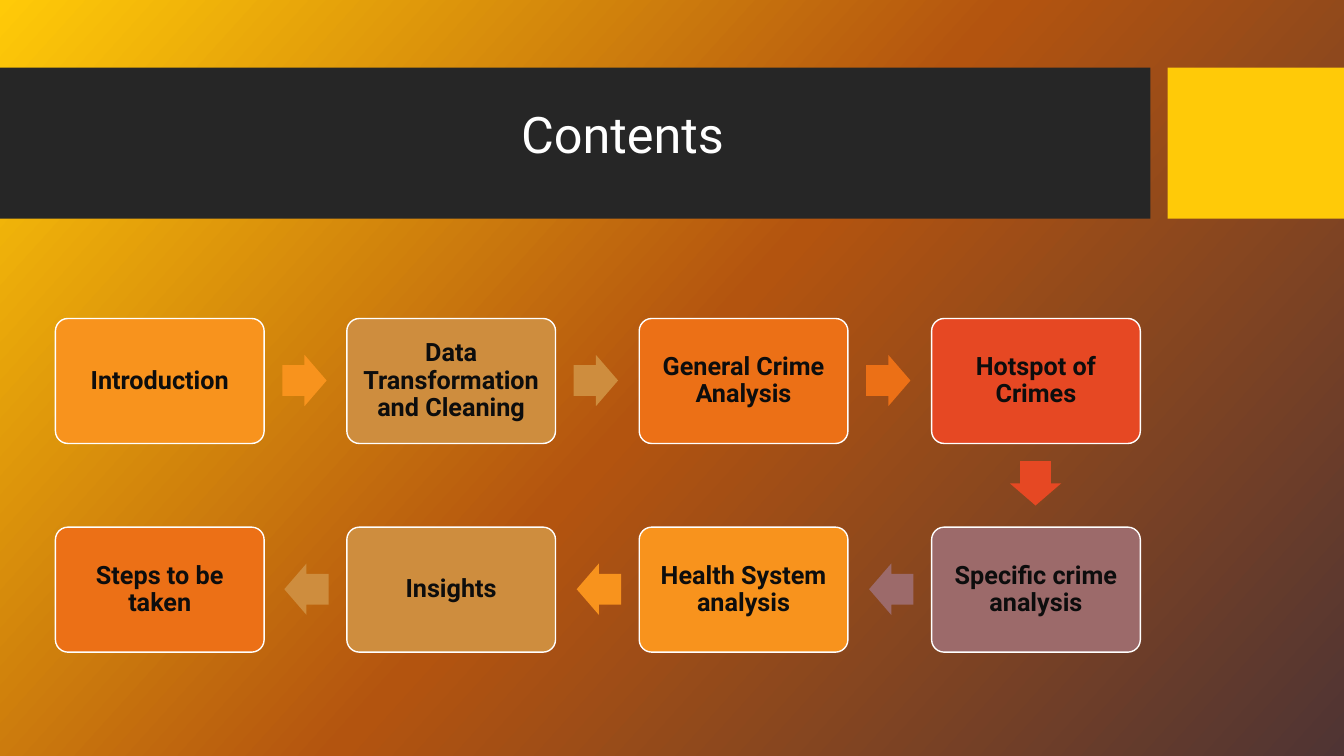
from lxml import etree
from pptx import Presentation
from pptx import util as u
from pptx.dml.color import RGBColor
from pptx.enum import shapes, text
from pptx.oxml import ns

SCALE = 9144


def px(n):
    return u.Emu(n * SCALE)


def color(code):
    return RGBColor.from_string(code)


class Deck:
    font = "Roboto"
    white, ink, dark, gold = "FFFFFF", "0D0D0D", "262626", "FFCA08"

    def __init__(self, prs):
        self.slide = prs.slides.add_slide(prs.slide_layouts[5])

    def ground(self, stops, angle):
        fill = self.slide.background.fill
        fill.gradient()
        fill.gradient_angle = 360 - angle
        group = self.slide.element.find(".//" + ns.qn("a:gsLst"))
        for stop in list(group):
            group.remove(stop)
        for place, code in stops:
            stop = etree.SubElement(group, ns.qn("a:gs"), pos=str(place * 1000))
            etree.SubElement(stop, ns.qn("a:srgbClr"), val=code)

    def label(self, shape, words, size, code, bold):
        frame = shape.text_frame
        frame.text = words
        frame.word_wrap = True
        frame.auto_size = text.MSO_AUTO_SIZE.NONE
        frame.vertical_anchor = text.MSO_ANCHOR.MIDDLE
        para = frame.paragraphs[0]
        para.alignment = text.PP_ALIGN.CENTER
        para.line_spacing = 0.9
        font = para.runs[0].font
        font.name, font.size, font.bold = self.font, u.Pt(size), bold
        font.color.rgb = color(code)

    def title(self, words, x, y, w, h):
        head = self.slide.shapes.title
        head.left, head.top, head.width, head.height = map(px, (x, y, w, h))
        self.label(head, words, 36, self.white, False)

    def shape(self, kind, x, y, w, h, code):
        item = self.slide.shapes.add_shape(kind, *map(px, (x, y, w, h)))
        item.shadow.inherit = False
        item.fill.solid()
        item.fill.fore_color.rgb = color(code)
        item.line.fill.background()
        return item

    def band(self, x, y, w, h, code):
        item = self.shape(shapes.MSO_SHAPE.RECTANGLE, x, y, w, h, code)
        self.slide.shapes.title.element.addprevious(item.element)

    def box(self, words, x, y, w, h, code):
        item = self.shape(shapes.MSO_SHAPE.ROUNDED_RECTANGLE, x, y, w, h, code)
        item.adjustments[0] = 0.1
        item.line.color.rgb = color(self.white)
        item.line.width = u.Pt(1)
        self.label(item, words, 18, self.ink, True)
        frame = item.text_frame
        frame.margin_left = frame.margin_right = px(10)
        frame.margin_top = frame.margin_bottom = px(10)

    def arrow(self, x, y, turn, code):
        item = self.shape(shapes.MSO_SHAPE.RIGHT_ARROW, x, y, 44, 51, code)
        item.adjustments[0] = 0.6
        item.adjustments[1] = 0.5
        item.rotation = turn


STEPS = [
    ("Introduction", "F8931D"),
    ("Data Transformation and Cleaning", "CE8D3E"),
    ("General Crime Analysis", "EC7016"),
    ("Hotspot of Crimes", "E64823"),
    ("Specific crime analysis", "9C6A6A"),
    ("Health System analysis", "F8931D"),
    ("Insights", "CE8D3E"),
    ("Steps to be taken", "EC7016"),
]
COLS = 4


def main():
    prs = Presentation()
    prs.slide_width, prs.slide_height = px(1333), px(750)
    deck = Deck(prs)
    deck.ground([(0, deck.gold), (50, "B3540F"), (100, "4F3434")], 42)
    deck.band(0, 67, 1141, 150, deck.dark)
    deck.band(1158, 67, 175, 150, deck.gold)
    deck.title("Contents", 92, 77, 1051, 118)

    last = len(STEPS) - 1
    for i, (words, code) in enumerate(STEPS):
        row = i // COLS
        col = last - i if row else i
        x, y = 55 + 869 * col // 3, 316 + 207 * row
        deck.box(words, x, y, 207, 124, code)
        if i == COLS - 1:
            deck.arrow(x + 81, y + 138, 90, code)
        elif row == 0:
            deck.arrow(x + 225, y + 36, 0, code)
        elif i < last:
            deck.arrow(x - 62, y + 36, 180, code)
    prs.save("out.pptx")


if __name__ == "__main__":
    main()
